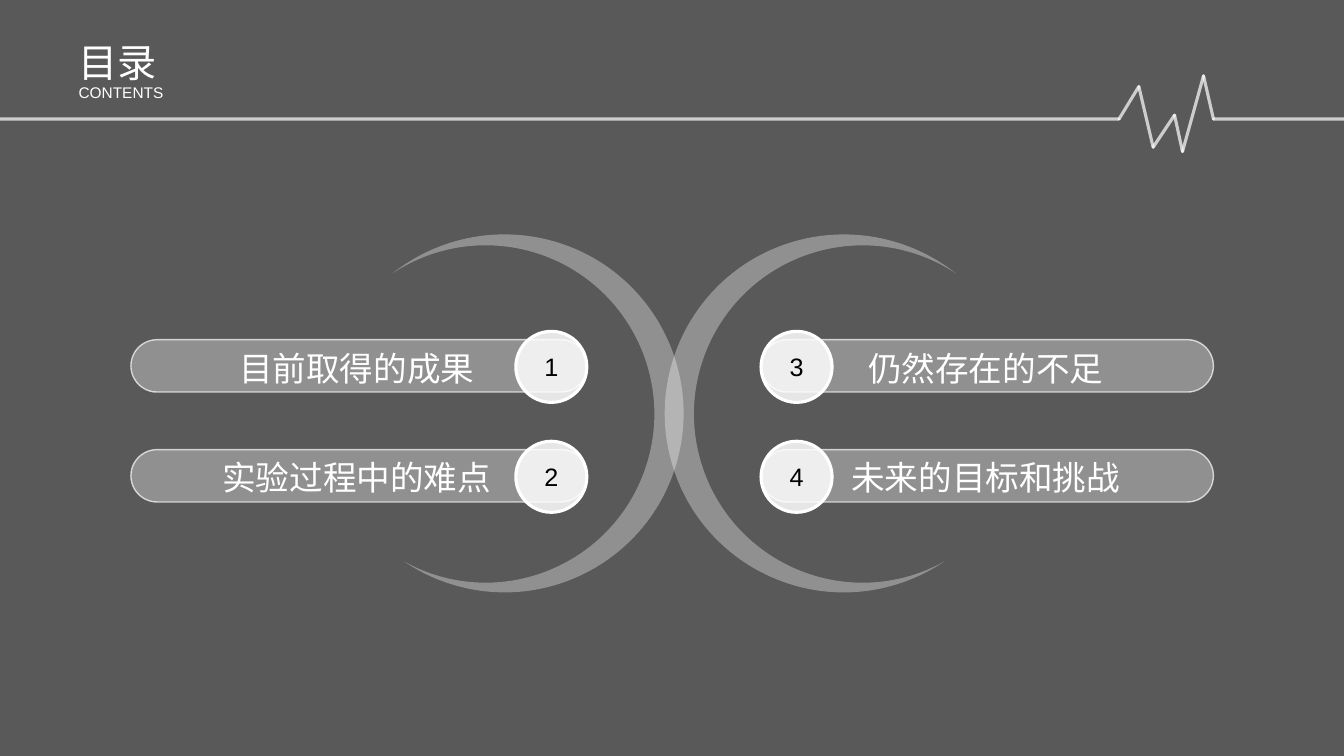
from dataclasses import dataclass
from itertools import pairwise
from math import cos, radians, sin, tan

from lxml.etree import SubElement
from pptx import Presentation
from pptx.dml.color import RGBColor
from pptx.enum.shapes import MSO_CONNECTOR, MSO_SHAPE
from pptx.enum.text import MSO_ANCHOR as Anchor, MSO_AUTO_SIZE as AutoSize, PP_ALIGN as Align
from pptx.oxml.ns import qn
from pptx.util import Cm, Pt

COLORS = {"white": "FFFFFF", "pale": "FCFCFC", "black": "000000"}
FONT = "Arial"
SLIDE_W, SLIDE_H = 33.87, 19.05
MIRROR_AXIS = 16.99
CRESCENT_TILT = 17.8
ROW_TOP, ROW_PITCH = 8.35, 2.77
BADGE_SIZE = 1.79
PULSE = [(0, 3), (28.2, 3), (28.7, 2.18), (29.06, 3.71), (29.6, 2.9),
         (29.8, 3.82), (30.33, 1.91), (30.58, 3), (SLIDE_W, 3)]


@dataclass
class Arc:
    """A run of circle arcs that passes through the given angles, in degrees."""
    x: float
    y: float
    radius: float
    angles: tuple[float, ...]


@dataclass
class Column:
    bar_x: float
    bar_w: float
    badge_x: float
    label_x: float
    topics: tuple[str, ...]


CRESCENT = [
    Arc(12.7, 10.53, 4.51, (-90, 0, 90, 106.4)),
    Arc(12.25, 10.69, 4.25, (101.2, 90, 0, -90, -141.4)),
    Arc(12.7, 10.53, 4.51, (-146.6, -90)),
]
COLUMNS = [
    Column(3.3, 11.5, 13, 3.2, ("目前取得的成果", "实验过程中的难点")),
    Column(19.18, 11.4, 19.18, 19.05, ("仍然存在的不足", "未来的目标和挑战")),
]


def rgb(name: str) -> RGBColor:
    return RGBColor.from_string(COLORS[name])


def set_alpha(sp, target: str, percent: int) -> None:
    """Set the opacity of the colour found at target, an XPath below spPr."""
    for color in sp._element.spPr.xpath(f"{target}/a:srgbClr"):
        SubElement(color, qn("a:alpha")).set("val", str(percent * 1000))


def style_line(sp, width: float, alpha: int = 100) -> None:
    sp.line.color.rgb = rgb("white")
    sp.line.width = Pt(width)
    if alpha < 100:
        set_alpha(sp, "a:ln/a:solidFill", alpha)


def style_fill(sp, color: str, alpha: int) -> None:
    sp.shadow.inherit = False
    sp.fill.solid()
    sp.fill.fore_color.rgb = rgb(color)
    set_alpha(sp, "a:solidFill", alpha)


def write(sp, text: str, *, size: float, color: str = "white", align=Align.LEFT,
          anchor=Anchor.TOP, spacing: float | None = None) -> None:
    tf = sp.text_frame
    tf.word_wrap = True
    tf.auto_size = AutoSize.NONE
    tf.vertical_anchor = anchor
    p = tf.paragraphs[0]
    p.alignment = align
    p.line_spacing = spacing
    r = p.add_run()
    r.text = text
    r.font.name = FONT
    r.font.size = Pt(size)
    r.font.color.rgb = rgb(color)


def add_backdrop(s) -> None:
    sp = s.shapes.add_shape(MSO_SHAPE.RECTANGLE, 0, 0, Cm(SLIDE_W), Cm(SLIDE_H))
    style_fill(sp, "black", 65)
    sp.line.fill.background()
    s.shapes.title._element.addprevious(sp._element)


def add_header(s) -> None:
    title = s.shapes.title
    title.left, title.top, title.width, title.height = Cm(1.73), Cm(0.84), Cm(9.86), Cm(1.45)
    write(title, "目录", size=28)
    subtitle = s.shapes.add_textbox(Cm(1.73), Cm(1.91), Cm(11.05), Cm(0.76))
    write(subtitle, "CONTENTS", size=11, spacing=1.14)


def add_pulse(s) -> None:
    for (x1, y1), (x2, y2) in pairwise(PULSE):
        line = s.shapes.add_connector(MSO_CONNECTOR.STRAIGHT, Cm(x1), Cm(y1), Cm(x2), Cm(y2))
        style_line(line, 2.25, 70)
        line._element.spPr.find(qn("a:ln")).set("cap", "rnd")
        SubElement(line._element.spPr, qn("a:effectLst"))


def bezier_points(arc: Arc) -> list[tuple[float, float]]:
    """Two control points and an end point for each step between angles."""
    points = []
    for a, b in pairwise(map(radians, arc.angles)):
        k = 4 / 3 * tan((b - a) / 4)
        unit = [(cos(a) - k * sin(a), sin(a) + k * cos(a)),
                (cos(b) + k * sin(b), sin(b) - k * cos(b)),
                (cos(b), sin(b))]
        points += [(arc.x + arc.radius * x, arc.y + arc.radius * y) for x, y in unit]
    return points


def curve_segments(sp) -> None:
    """Turn every three line segments of a freeform into one cubic curve."""
    lines = sp._element.spPr.xpath(".//a:lnTo")
    for i in range(0, len(lines), 3):
        curve = SubElement(lines[i].getparent(), qn("a:cubicBezTo"))
        lines[i].addprevious(curve)
        for line in lines[i:i + 3]:
            curve.append(line[0])
            line.getparent().remove(line)


def add_crescent(s, mirrored: bool) -> None:
    outline = [point for arc in CRESCENT for point in bezier_points(arc)]
    points = [(Cm(2 * MIRROR_AXIS - x if mirrored else x), Cm(y)) for x, y in outline]
    builder = s.shapes.build_freeform(*points[-1])
    builder.add_line_segments(points, close=True)
    sp = builder.convert_to_shape()
    curve_segments(sp)
    sp.rotation = -CRESCENT_TILT if mirrored else CRESCENT_TILT
    style_fill(sp, "pale", 34)
    sp.line.fill.background()


def add_topic(s, column: Column, number: int, top: float, topic: str) -> None:
    bar = s.shapes.add_shape(MSO_SHAPE.ROUNDED_RECTANGLE, Cm(column.bar_x), Cm(top + 0.21),
                             Cm(column.bar_w), Cm(1.32))
    bar.adjustments[0] = 0.5
    style_fill(bar, "pale", 34)
    style_line(bar, 1, 70)

    badge = s.shapes.add_shape(MSO_SHAPE.OVAL, Cm(column.badge_x), Cm(top),
                               Cm(BADGE_SIZE), Cm(BADGE_SIZE))
    style_fill(badge, "white", 85)
    style_line(badge, 2.25)
    write(badge, str(number), size=18, color="black", align=Align.CENTER, anchor=Anchor.MIDDLE)

    label = s.shapes.add_textbox(Cm(column.label_x), Cm(top + 0.28), Cm(11.58), Cm(1.27))
    write(label, topic, size=24, align=Align.CENTER)


def main() -> None:
    prs = Presentation()
    prs.slide_width, prs.slide_height = Cm(SLIDE_W), Cm(SLIDE_H)
    s = prs.slides.add_slide(prs.slide_layouts.get_by_name("Title Only"))
    add_backdrop(s)
    add_pulse(s)
    add_header(s)
    for mirrored in (False, True):
        add_crescent(s, mirrored)
    number = 0
    for column in COLUMNS:
        for row, topic in enumerate(column.topics):
            number += 1
            add_topic(s, column, number, ROW_TOP + row * ROW_PITCH, topic)
    prs.save("out.pptx")


if __name__ == "__main__":
    main()
